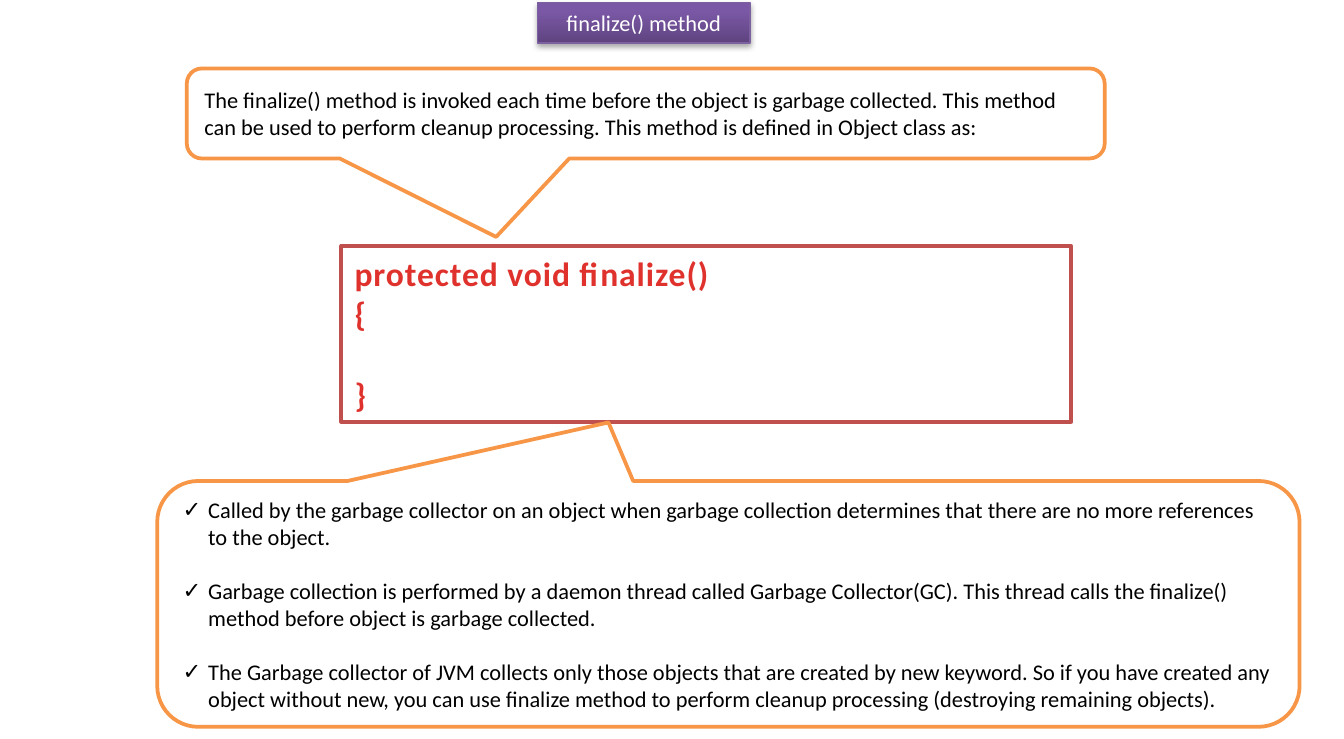
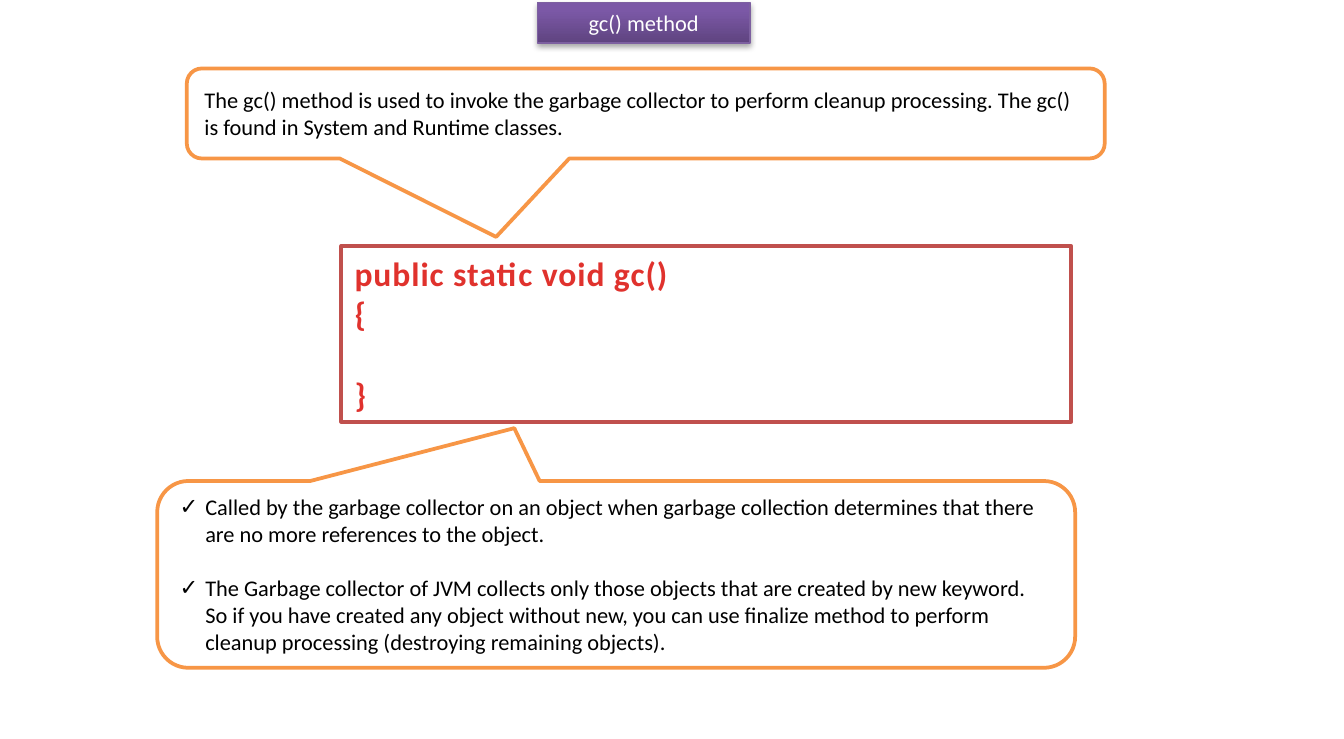
import pptx
import pptx.util
import pptx.dml.color
import pptx.enum.shapes
import pptx.enum.text
import pptx.oxml
import pptx.oxml.ns
from dataclasses import dataclass

SHAPE = pptx.enum.shapes.MSO_SHAPE
ALIGN = pptx.enum.text.PP_ALIGN
ANCHOR = pptx.enum.text.MSO_ANCHOR
Pt = pptx.util.Pt
Inches = pptx.util.Inches

# Content: the callout list has its own size and pointer on each slide
CALLED = ("Called by the garbage collector on an object when garbage collection "
          "determines that there are no more references to the object.")
DAEMON = ("Garbage collection is performed by a daemon thread called Garbage "
          "Collector(GC). This thread calls the finalize() method before object "
          "is garbage collected.")
JVM = ("The Garbage collector of JVM collects only those objects that are created "
       "by new keyword. So if you have created any object without new, you can use "
       "finalize method to perform cleanup processing (destroying remaining objects).")
SLIDES = [
    dict(title="finalize() method",
         intro="The finalize() method is invoked each time before the object is "
               "garbage collected. This method can be used to perform cleanup "
               "processing. This method is defined in Object class as:",
         signature="protected void finalize()",
         points=[CALLED, DAEMON, JVM], size=(8.5, 1.83), pointer=(-0.105, -0.738)),
    dict(title="gc() method",
         intro="The gc() method is used to invoke the garbage collector to perform "
               "cleanup processing. The gc() is found in System and Runtime classes.",
         signature="public static void gc()",
         points=[CALLED, JVM], size=(6.83, 1.39), pointer=(-0.111, -0.783)),
]


@dataclass(frozen=True)
class Theme:
    font: str = "Calibri"
    text_size: float = 12
    code_size: float = 18
    line_height: float = 1.22
    border: float = 2
    indent: float = 0.19
    white: str = "FFFFFF"
    black: str = "000000"
    code: str = "E0322D"
    code_line: str = "C0504D"
    callout_line: str = "F79646"
    band_line: str = "7D60A0"
    band: tuple = (("5F4480", 0), ("7B58A6", 0.8))


THEME = Theme()
SLIDE_SIZE = (10, 5.5)
TITLE_BOX = (4, 0.02, 1.58, 0.3)
INTRO_BOX = (1.39, 0.51, 6.83, 0.67)
CODE_BOX = (2.54, 1.83, 5.43, 1.31)
POINTS_AT = (1.17, 3.58)
INTRO_POINTER = (-0.163, 1.371)
CORNER = 0.167


def rgb(value):
    return pptx.dml.color.RGBColor.from_string(value)


def add_xml(parent, tag, inner="", **attrs):
    pairs = " ".join(f'{k}="{v}"' for k, v in attrs.items())
    ns = pptx.oxml.ns.nsdecls("a")
    parent.append(pptx.oxml.parse_xml(f"<a:{tag} {ns} {pairs}>{inner}</a:{tag}>"))


def write(sp, lines, size=THEME.text_size, color=THEME.black, bold=False, spacing=0,
          align=ALIGN.LEFT, anchor=ANCHOR.MIDDLE, bullet=None, blank_before=()):
    """Fill a shape with paragraphs; blank_before lists those after a one-line gap."""
    tf = sp.text_frame
    tf.word_wrap = True
    tf.auto_size = pptx.enum.text.MSO_AUTO_SIZE.NONE
    tf.vertical_anchor = anchor
    for i, line in enumerate(lines):
        p = tf.paragraphs[0] if i == 0 else tf.add_paragraph()
        if bullet:
            pPr = p._p.get_or_add_pPr()
            pPr.set("marL", str(Inches(THEME.indent)))
            pPr.set("indent", str(-Inches(THEME.indent)))
            add_xml(pPr, "buChar", char=bullet)
        p.alignment = align
        p.space_before = Pt(size * THEME.line_height if i in blank_before else 0)
        r = p.add_run()
        r.text = line
        r.font.name, r.font.size, r.font.bold = THEME.font, Pt(size), bold
        r.font.color.rgb = rgb(color)
        if spacing:
            r._r.get_or_add_rPr().set("spc", str(round(spacing * 100)))


def place(sp, box):
    sp.left, sp.top, sp.width, sp.height = map(Inches, box)


def set_geometry(placeholder, preset):
    add_xml(placeholder._element.spPr, "prstGeom", "<a:avLst/>", prst=preset)


def outline(sp, color, width=THEME.border):
    sp.line.color.rgb = rgb(color)
    sp.line.width = Pt(width)


def style_box(sp, line):
    sp.fill.solid()
    sp.fill.fore_color.rgb = rgb(THEME.white)
    outline(sp, line)
    sp.shadow.inherit = False


def style_callout(sp, pointer):
    style_box(sp, THEME.callout_line)
    for i, value in enumerate((*pointer, CORNER)):
        sp.adjustments[i] = value


def add_title(s, text):
    sp = s.shapes.title
    place(sp, TITLE_BOX)
    set_geometry(sp, "rect")
    sp.fill.gradient()
    sp.fill.gradient_angle = 90
    for stop, (color, position) in zip(sp.fill.gradient_stops, THEME.band):
        stop.color.rgb = rgb(color)
        stop.position = position
    outline(sp, THEME.band_line, 0.75)
    add_xml(sp._element.spPr, "effectLst",
            f'<a:outerShdw blurRad="{Pt(3.1)}" dist="{Pt(1.8)}" dir="5400000" '
            f'rotWithShape="0"><a:srgbClr val="{THEME.black}">'
            '<a:alpha val="35000"/></a:srgbClr></a:outerShdw>')
    write(sp, [text], color=THEME.white, align=ALIGN.CENTER)


def add_code(s, signature):
    sp = s.shapes.add_shape(SHAPE.RECTANGLE, *map(Inches, CODE_BOX))
    style_box(sp, THEME.code_line)
    write(sp, [signature, "{", "}"], size=THEME.code_size, color=THEME.code, bold=True,
          spacing=0.5, anchor=ANCHOR.TOP, blank_before=(2,))


def add_intro(s, text):
    sp = s.shapes.add_shape(SHAPE.ROUNDED_RECTANGULAR_CALLOUT, *map(Inches, INTRO_BOX))
    style_callout(sp, INTRO_POINTER)
    write(sp, [text])


def add_points(s, points, size, pointer):
    sp = s.placeholders[1]
    place(sp, POINTS_AT + size)
    set_geometry(sp, "wedgeRoundRectCallout")
    style_callout(sp, pointer)
    write(sp, points, bullet="✓", blank_before=range(1, len(points)))
    s.shapes._spTree.append(sp._element)  # bring the callout in front of the code


def main():
    prs = pptx.Presentation()
    prs.slide_width, prs.slide_height = map(Inches, SLIDE_SIZE)
    for item in SLIDES:
        s = prs.slides.add_slide(prs.slide_layouts[1])
        add_title(s, item["title"])
        add_code(s, item["signature"])
        add_intro(s, item["intro"])
        add_points(s, item["points"], item["size"], item["pointer"])
    prs.save("out.pptx")


if __name__ == "__main__":
    main()
